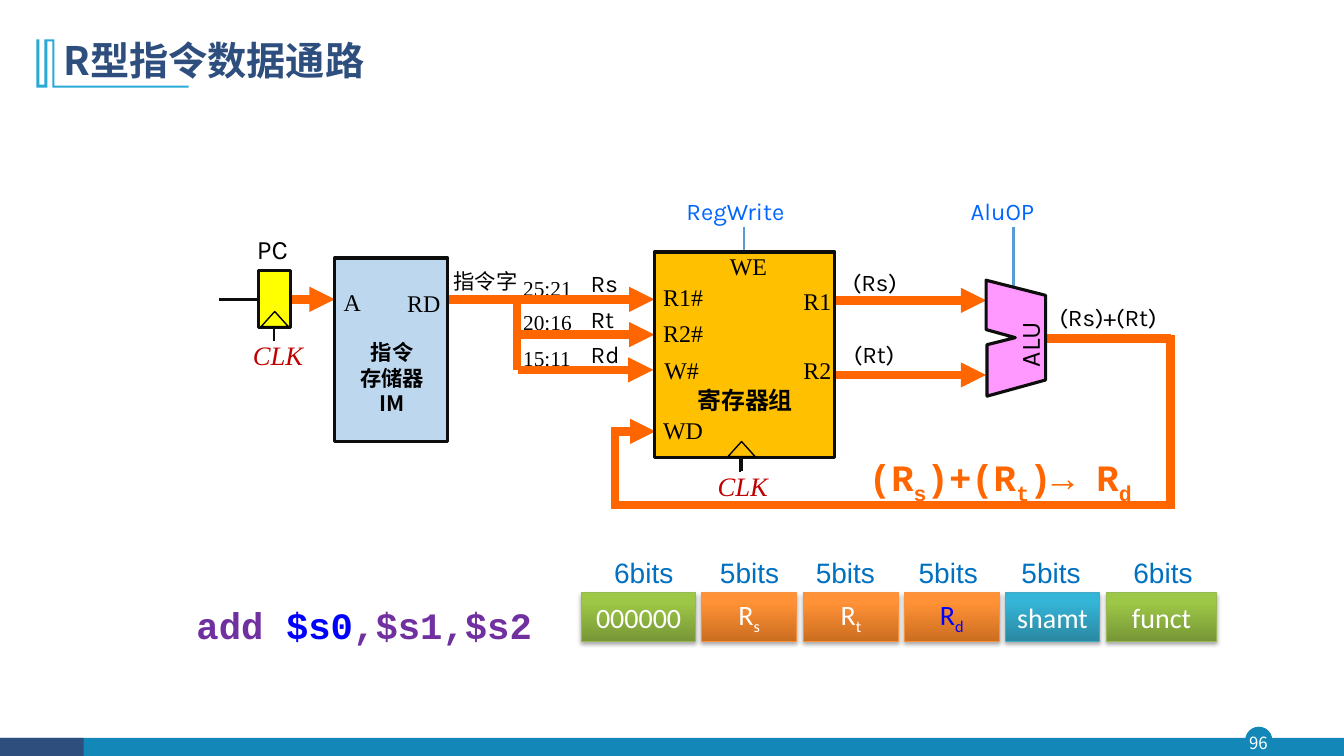
"""Builds the slide on the data path of R-type instructions."""
from lxml.etree import SubElement
from pptx import Presentation
from pptx.dml.color import RGBColor
from pptx.enum.shapes import MSO_CONNECTOR as LINK, MSO_SHAPE as SHAPE
from pptx.enum.text import MSO_ANCHOR as ANCHOR, MSO_AUTO_SIZE as FIT, PP_ALIGN as ALIGN
from pptx.oxml.ns import qn
from pptx.util import Inches, Pt

CJK, SERIF, SANS, MONO = "Noto Sans CJK SC", "Times New Roman", "Karla", "Courier New"
BLACK, INK, ORANGE, WHITE = "000000", "0D0D0D", "FF6600", "FFFFFF"


def write(para, text, font=SERIF, size=17.1, color=BLACK, bold=False, italic=False, sub=False):
    span = para.add_run()
    span.text = text
    span.font.name, span.font.size = font, Pt(size)
    span.font.bold, span.font.italic = bold, italic
    span.font.color.rgb = RGBColor.from_string(color)
    props = span._r.get_or_add_rPr()
    SubElement(props, qn("a:ea")).set("typeface", font)
    if sub:
        props.set("baseline", "-25000")


def connect(page, points, color=ORANGE, width=6, arrow=False):
    line = page.shapes.add_connector(LINK.STRAIGHT, *map(Inches, points))
    line.line.color.rgb = RGBColor.from_string(color)
    line.line.width = Pt(width)
    if arrow:
        SubElement(line.line._get_or_add_ln(), qn("a:tailEnd")).set("type", "triangle")
    SubElement(line._element.spPr, qn("a:effectLst"))


deck = Presentation()
deck.slide_width, deck.slide_height = Inches(13.33), Inches(7.5)
page = deck.slides.add_slide(deck.slide_layouts[5])

# (kind, position, fill, line, width)
frame_shapes = [
    (SHAPE.OVAL, (12.35, 7.21, 0.27, 0.27), "1387B7", None, 0),
    (SHAPE.RECTANGLE, (0, 7.32, 13.33, 0.18), "1387B7", None, 0),
    (SHAPE.RECTANGLE, (0, 7.32, 0.83, 0.18), "2E4E7E", None, 0),
]
diagram_shapes = [
    (SHAPE.RECTANGLE, (2.56, 2.68, 0.32, 0.57), "FFFF00", INK, 2.25),
    (SHAPE.ISOSCELES_TRIANGLE, (2.59, 3.09, 0.27, 0.15), "FFFF00", BLACK, 1),
    (SHAPE.RECTANGLE, (3.32, 2.56, 1.12, 1.82), "BDD7EE", INK, 2.25),
    (SHAPE.RECTANGLE, (6.49, 2.5, 1.79, 2.04), "FFC000", INK, 2.25),
    (SHAPE.ISOSCELES_TRIANGLE, (7.22, 4.38, 0.27, 0.15), "FFC000", BLACK, 1),
]
corner_mark = [
    (0.54, 0.39), (0.54, 0.85), (1.87, 0.85), (1.87, 0.87), (0.52, 0.87), (0.52, 0.41),
    (0.47, 0.41), (0.47, 0.87), (0.36, 0.87), (0.36, 0.39), (0.39, 0.39), (0.39, 0.84),
    (0.44, 0.84), (0.44, 0.39),
]
alu_outline = [
    (9.78, 2.78), (9.78, 3.27), (10.07, 3.35), (9.79, 3.42), (9.79, 3.93), (10.37, 3.77),
    (10.37, 2.93),
]
bit_ranges = [("25:21", 2.68), ("20:16", 3.02), ("15:11", 3.38)]
wires = [
    (2.17, 2.97, 2.56, 2.97, INK, 2.25),
    (2.72, 3.38, 2.72, 3.25, INK, 1.5),
    (7.34, 4.68, 7.34, 4.55, INK, 1.5),
    (7.36, 4.67, 7.36, 4.54, INK, 1.5),
    (7.38, 2.25, 7.38, 2.56, "5B9BD5", 2),
    (10.05, 2.25, 10.05, 2.86, "5B9BD5", 2),
]
buses = [
    (4.44, 2.97, 5.16, 2.97), (5.13, 2.97, 5.13, 3.67), (10.37, 3.36, 11.61, 3.36),
    (11.61, 3.32, 11.61, 5.05), (6.1, 5.01, 11.61, 5.01), (6.1, 4.24, 6.1, 5.05),
]
arrows = [
    (2.89, 2.97, 3.32, 2.97), (5.16, 2.97, 6.49, 2.97), (5.15, 3.32, 6.49, 3.32),
    (5.14, 3.67, 6.48, 3.67), (6.1, 4.28, 6.5, 4.28), (8.22, 2.98, 9.78, 2.98),
    (8.23, 3.72, 9.78, 3.72),
]
clock = dict(size=19, color="C00000", italic=True)
signal = dict(font=SANS, color="0066FF")
labels = [
    ("CLK", (2.41, 3.31, 0.7, 0.42), clock),
    ("CLK", (7.02, 4.61, 0.7, 0.42), clock),
    ("PC", (2.45, 2.26, 0.54, 0.42), dict(font=SANS, size=19)),
    ("A", (3.31, 2.8, 0.38, 0.39), {}),
    ("RD", (3.94, 2.81, 0.54, 0.39), {}),
    ("指令\n存储器\nIM", (3.47, 3.32, 0.84, 0.87), dict(font=CJK, size=15.2, bold=True)),
    ("指令字", (4.4, 2.61, 0.84, 0.36), dict(font=CJK, size=15.2)),
    ("Rs", (5.76, 2.62, 0.48, 0.39), dict(font=SANS)),
    ("Rt", (5.76, 2.97, 0.46, 0.39), dict(font=SANS)),
    ("Rd", (5.76, 3.32, 0.52, 0.39), dict(font=SANS)),
    ("R1#", (6.48, 2.75, 0.6, 0.39), {}),
    ("R2#", (6.48, 3.11, 0.6, 0.39), {}),
    ("W#", (6.49, 3.48, 0.55, 0.39), {}),
    ("WD", (6.48, 4.07, 0.6, 0.39), {}),
    ("WE", (7.14, 2.45, 0.57, 0.39), {}),
    ("R1", (7.87, 2.79, 0.48, 0.39), {}),
    ("R2", (7.87, 3.48, 0.48, 0.39), {}),
    ("寄存器组", (6.81, 3.78, 1.16, 0.39), dict(font=CJK, bold=True)),
    ("RegWrite", (6.71, 1.9, 1.32, 0.39), signal),
    ("AluOP", (9.53, 1.9, 0.94, 0.39), signal),
    ("(Rs)", (8.36, 2.61, 0.68, 0.39), dict(font=SANS)),
    ("(Rt)", (8.37, 3.32, 0.66, 0.39), dict(font=SANS)),
    ("(Rs)+(Rt)", (10.41, 2.95, 1.32, 0.39), dict(font=SANS)),
    ("ALU", (9.84, 3.16, 0.74, 0.42), dict(font=SANS, size=19)),
]
formulas = [
    ((1.85, 5.84, 3.69, 0.6), [
        ("add ", "7030A0", False), ("$s0", "0000FF", False), (",$s1,$s2", "7030A0", False)]),
    ((8.52, 4.36, 3.17, 0.6), [
        ("(R", ORANGE, False), ("s", ORANGE, True), (")+(R", ORANGE, False),
        ("t", ORANGE, True), (")→ R", ORANGE, False), ("d", ORANGE, True)]),
]
GREEN = ("779737", "9DC746", "98B955")
AMBER = ("CC6E20", "FF9136", "F69240")
TEAL = ("2A88A2", "34B4D6", "46AAC5")
# (text, subscript, left, width, colours, text colour, size label, label left)
fields = [
    ("000000", "", 5.77, 1.13, GREEN, WHITE, "6bits", 5.9),
    ("R", "s", 6.96, 0.94, AMBER, WHITE, "5bits", 6.95),
    ("R", "t", 7.97, 0.94, AMBER, WHITE, "5bits", 7.9),
    ("R", "d", 8.97, 0.94, AMBER, "0000FF", "5bits", 8.92),
    ("shamt", "", 9.97, 0.94, TEAL, WHITE, "5bits", 9.94),
    ("funct", "", 10.97, 1.1, GREEN, WHITE, "6bits", 11.05),
]

title = page.shapes.title
title.left, title.top, title.width, title.height = map(Inches, (0.53, 0.28, 11.5, 0.68))
title.text_frame.vertical_anchor = ANCHOR.MIDDLE
para = title.text_frame.paragraphs[0]
para.alignment, para.line_spacing = ALIGN.LEFT, 0.9
write(para, "R型指令数据通路", font=CJK, size=28, color="2E4E7E", bold=True)

for text, top in bit_ranges:
    box = page.shapes.add_textbox(*map(Inches, (5.09, top, 0.69, 0.36)))
    box.text_frame.word_wrap = False
    write(box.text_frame.paragraphs[0], text, size=15.2)
for *points, color, width in wires:
    connect(page, points, color=color, width=width)
for points in buses:
    connect(page, points)
for points in arrows:
    connect(page, points, arrow=True)

for kind, place, fill, edge, width in frame_shapes + diagram_shapes:
    shape = page.shapes.add_shape(kind, *map(Inches, place))
    shape.shadow.inherit = False
    shape.fill.solid()
    shape.fill.fore_color.rgb = RGBColor.from_string(fill)
    if edge:
        shape.line.color.rgb = RGBColor.from_string(edge)
        shape.line.width = Pt(width)
    else:
        shape.line.fill.background()

for outline, fill, edge in [(corner_mark, "28A9D6", None), (alu_outline, "FF99FF", INK)]:
    corners = [(Inches(x), Inches(y)) for x, y in outline]
    builder = page.shapes.build_freeform(*corners[0])
    builder.add_line_segments(corners[1:], close=True)
    shape = builder.convert_to_shape()
    shape.shadow.inherit = False
    shape.fill.solid()
    shape.fill.fore_color.rgb = RGBColor.from_string(fill)
    if edge:
        shape.line.color.rgb = RGBColor.from_string(edge)
        shape.line.width = Pt(2.25)
    else:
        shape.line.fill.background()

for text, place, style in labels:
    box = page.shapes.add_textbox(*map(Inches, place))
    box.rotation = 270 if text == "ALU" else 0
    frame = box.text_frame
    frame.word_wrap, frame.auto_size = False, FIT.SHAPE_TO_FIT_TEXT
    for index, row in enumerate(text.split("\n")):
        para = frame.add_paragraph() if index else frame.paragraphs[0]
        para.alignment = ALIGN.CENTER if style.get("bold") else ALIGN.LEFT
        write(para, row, **style)

for place, spans in formulas:
    box = page.shapes.add_textbox(*map(Inches, place))
    box.text_frame.word_wrap = True
    para = box.text_frame.paragraphs[0]
    para.line_spacing = 1.2
    for text, color, sub in spans:
        write(para, text, font=MONO, size=26.6, color=color, bold=True, sub=sub)

for text, sub, left, width, (dark, light, edge), color, bits, bits_left in fields:
    shape = page.shapes.add_shape(SHAPE.RECTANGLE, *map(Inches, (left, 5.88, width, 0.48)))
    shape.fill.gradient()
    shape.fill.gradient_angle = 90
    for stop, position, shade in zip(shape.fill.gradient_stops, (0, 0.8), (dark, light)):
        stop.position, stop.color.rgb = position, RGBColor.from_string(shade)
    shape.line.color.rgb = RGBColor.from_string(edge)
    shape.line.width = Pt(0.75)
    effects = SubElement(shape._element.spPr, qn("a:effectLst"))
    shadow = SubElement(effects, qn("a:outerShdw"), blurRad="40000", dist="23000",
                        dir="5400000", rotWithShape="0")
    tint = SubElement(shadow, qn("a:srgbClr"), val=BLACK)
    SubElement(tint, qn("a:alpha"), val="35000")
    shape.text_frame.vertical_anchor = ANCHOR.MIDDLE
    para = shape.text_frame.paragraphs[0]
    para.alignment = ALIGN.CENTER
    write(para, text, font="Calibri", size=20, color=color)
    if sub:
        write(para, sub, font="Calibri", size=20, color=color, sub=True)
    box = page.shapes.add_textbox(*map(Inches, (bits_left, 5.46, 0.97, 0.45)))
    box.text_frame.word_wrap = True
    para = box.text_frame.paragraphs[0]
    para.alignment = ALIGN.CENTER
    write(para, bits, font="Arial", size=20, color="0070C0")

number = page.shapes.add_textbox(*map(Inches, (12.32, 7.21, 0.32, 0.31)))
frame = number.text_frame
frame.margin_left = frame.margin_right = frame.margin_top = frame.margin_bottom = 0
frame.vertical_anchor = ANCHOR.MIDDLE
frame.paragraphs[0].alignment = ALIGN.CENTER
write(frame.paragraphs[0], "96", font=CJK, size=12, color=WHITE)

deck.save("out.pptx")
